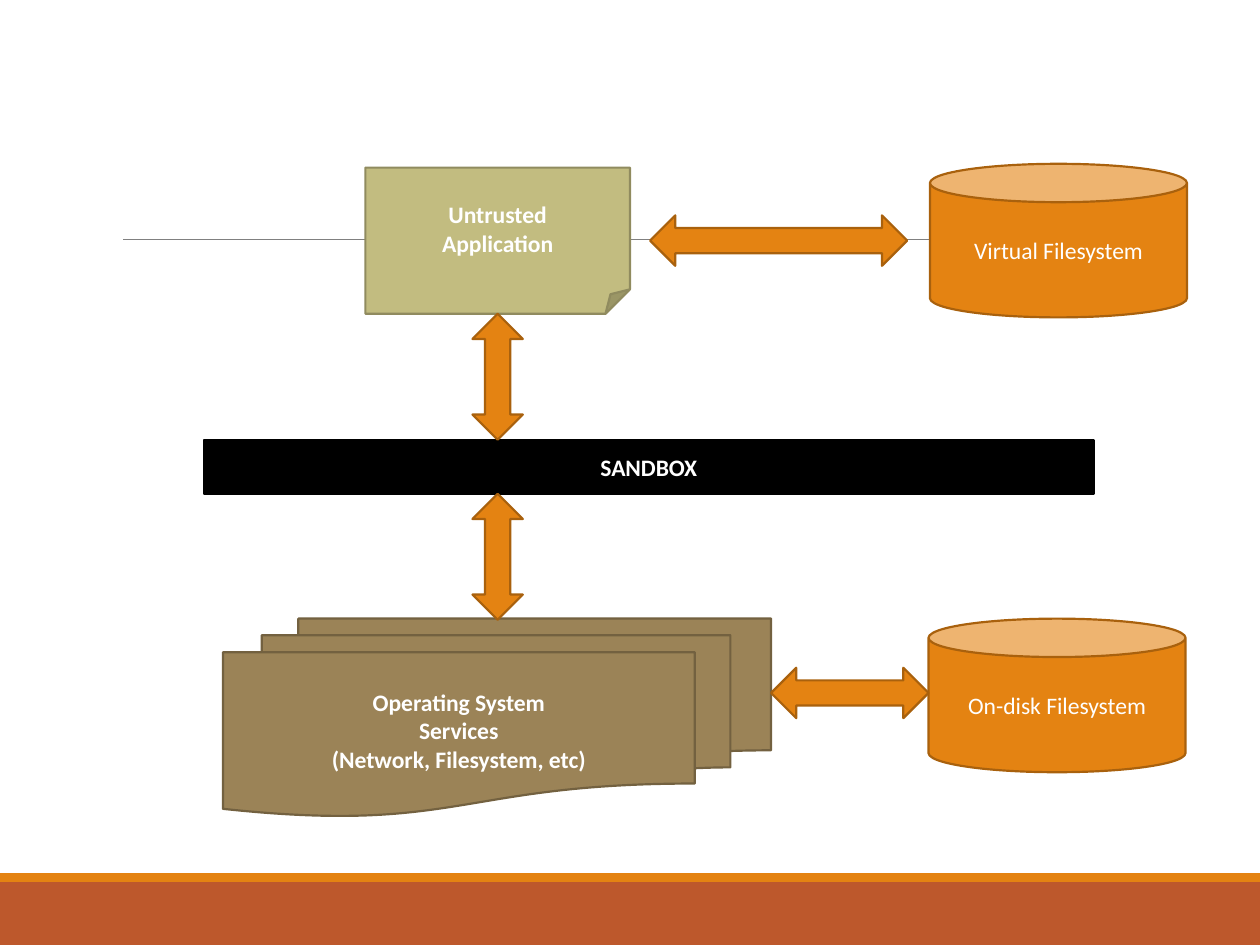
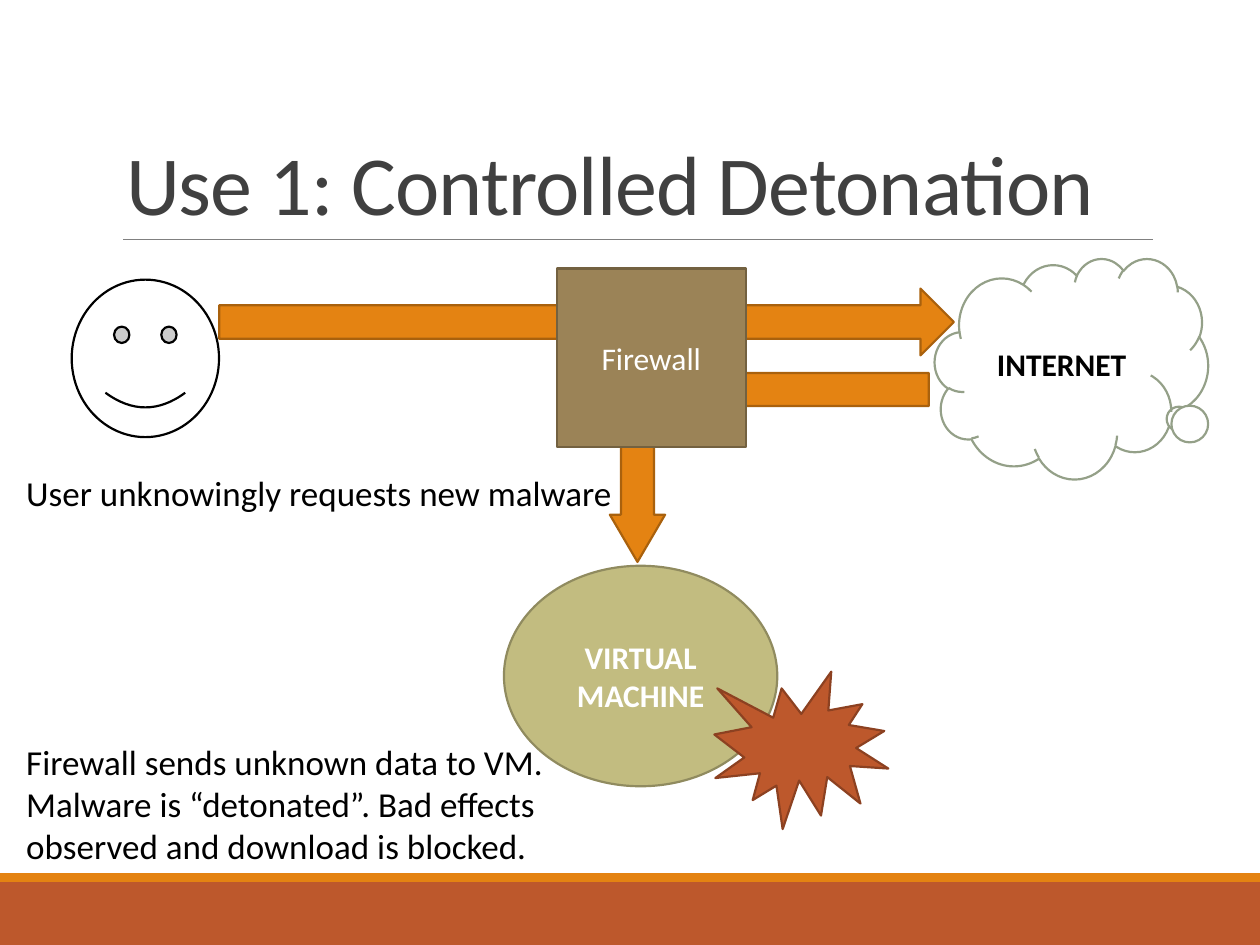
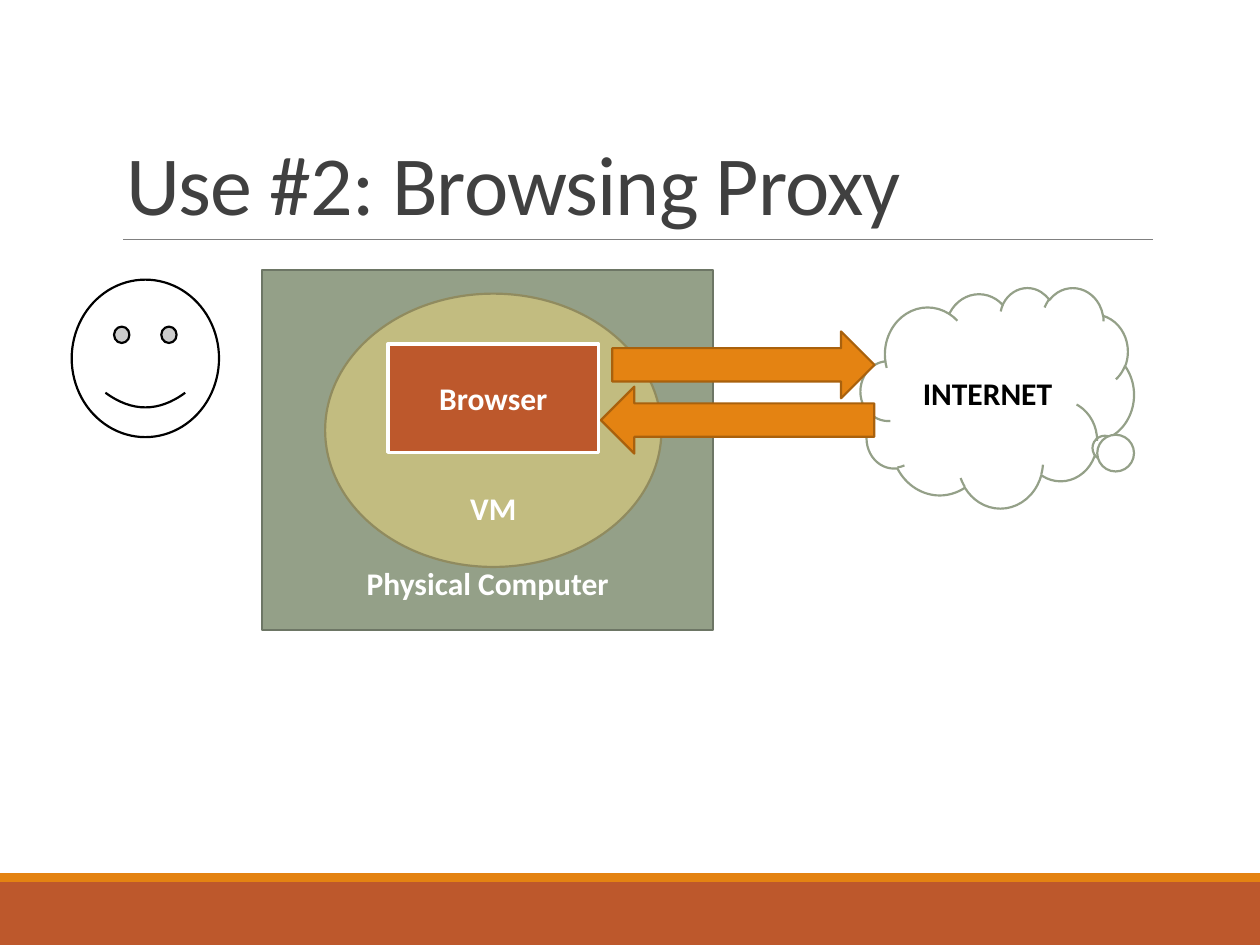
from pptx import Presentation
from pptx.dml.color import RGBColor
from pptx.enum import shapes, text as txt
from pptx.oxml import parse_xml
from pptx.oxml.ns import nsdecls
from pptx.util import Pt

SHAPE = shapes.MSO_SHAPE
ALIGN = txt.PP_ALIGN
ANCHOR = txt.MSO_ANCHOR

FONT = "Calibri"
WHITE, BLACK = "FFFFFF", "000000"
RUST, ORANGE, OLIVE, BROWN, SAGE = "BD582C", "E48312", "C2BC80", "9B8357", "94A088"
TITLE_GREY, RULE_GREY = "404040", "808080"
EDGES = {ORANGE: "A9610D", OLIVE: "908B5F", BROWN: "736140", RUST: "8C4121",
         SAGE: "6D7665", BLACK: BLACK}


def rgb(hex_color):
    return RGBColor.from_string(hex_color)


def write_text(tf, content, size=18, color=WHITE, bold=False, align=ALIGN.LEFT,
               line_spacing=None, tracking=None):
    for i, line in enumerate(content.split("\n")):
        p = tf.paragraphs[0] if i == 0 else tf.add_paragraph()
        p.alignment = align
        if line_spacing:
            p.line_spacing = line_spacing
        r = p.add_run()
        r.text = line
        r.font.name = FONT
        r.font.size = Pt(size)
        r.font.bold = bold
        r.font.color.rgb = rgb(color)
        if tracking:
            r.font._element.set("spc", str(round(tracking * 100)))


def add_box(s, kind, x, y, w, h, fill=ORANGE, edge=None, width=1.25, adj=(),
            label="", anchor=ANCHOR.MIDDLE, bottom=3.6, **fmt):
    sp = s.shapes.add_shape(kind, Pt(x), Pt(y), Pt(w), Pt(h))
    sp.shadow.inherit = False
    sp.fill.solid()
    sp.fill.fore_color.rgb = rgb(fill)
    if width:
        sp.line.color.rgb = rgb(edge or EDGES[fill])
        sp.line.width = Pt(width)
    else:
        sp.line.fill.background()
    for i, value in enumerate(adj):
        sp.adjustments[i] = value
    if label:
        tf = sp.text_frame
        tf.word_wrap = True
        tf.vertical_anchor = anchor
        tf.margin_bottom = Pt(bottom)
        write_text(tf, label, align=ALIGN.CENTER, **fmt)
    return sp


def add_rule(s, x1, x2, y):
    c = s.shapes.add_connector(shapes.MSO_CONNECTOR.STRAIGHT, Pt(x1), Pt(y), Pt(x2), Pt(y))
    c.line.color.rgb = rgb(RULE_GREY)
    c.line.width = Pt(0.5)
    c.element.spPr.append(parse_xml(f"<a:effectLst {nsdecls('a')}/>"))
    return c


def add_note(s, content, x, y, w, h, wrap=True):
    tf = s.shapes.add_textbox(Pt(x), Pt(y), Pt(w), Pt(h)).text_frame
    tf.word_wrap = wrap
    tf.auto_size = txt.MSO_AUTO_SIZE.SHAPE_TO_FIT_TEXT
    write_text(tf, content, size=20, color=BLACK)


def add_title(s, content):
    sp = s.shapes.title
    sp.left, sp.top, sp.width, sp.height = Pt(64.8), Pt(22.3), Pt(594), Pt(114.5)
    tf = sp.text_frame
    tf.word_wrap = True
    tf.auto_size = txt.MSO_AUTO_SIZE.NONE
    tf.vertical_anchor = ANCHOR.BOTTOM
    write_text(tf, content, size=48, color=TITLE_GREY, line_spacing=0.85, tracking=-0.5)


def add_user(s):
    add_box(s, SHAPE.SMILEY_FACE, 41, 159.8, 84.2, 90, WHITE, BLACK)


def add_internet(s, x, y):
    add_box(s, SHAPE.CLOUD_CALLOUT, x, y, 156.2, 126, WHITE, SAGE, adj=(0.394, 0.229),
            label="INTERNET", color=BLACK, bold=True)


def move_frame_to_layout(s, layout):
    frame = [
        add_box(s, SHAPE.RECTANGLE, 0, 504, 720, 36, RUST, width=0),
        add_box(s, SHAPE.RECTANGLE, 0, 499, 720, 5, ORANGE, width=0),
        add_rule(s, 70.4, 658.8, 136.8),
    ]
    for number, sp in enumerate(frame, 101):
        sp.element.xpath(".//p:cNvPr")[0].set("id", str(number))
        layout.shapes.element.append(sp.element)


def build_sandbox(s):
    title = s.shapes.title.element
    title.getparent().remove(title)
    small = dict(size=13.5, bold=True)
    add_box(s, SHAPE.FOLDED_CORNER, 208.8, 95.8, 151.2, 83.5, OLIVE,
            label="Untrusted\nApplication", **small)
    add_box(s, SHAPE.FLOWCHART_MULTIDOCUMENT, 127.4, 353.5, 313.2, 113, BROWN,
            label="Operating System\nServices\n(Network, Filesystem, etc)", **small)
    add_box(s, SHAPE.RECTANGLE, 116.6, 251.3, 508.3, 31, BLACK, label="SANDBOX", **small)
    for y in (179.3, 282.2):
        add_box(s, SHAPE.UP_DOWN_ARROW, 270, y, 28.8, 72)
    for name, x, y in (("Virtual", 531.4, 93.6), ("On-disk", 530.6, 353.5)):
        add_box(s, SHAPE.CAN, x, y, 146.9, 87.8, label=f"{name} Filesystem", size=13.5)
    for x, y, w in ((371.5, 123.1, 146.9), (440.6, 381.6, 90)):
        add_box(s, SHAPE.LEFT_RIGHT_ARROW, x, y, w, 28.8)


def build_detonation(s):
    add_title(s, "Use 1: Controlled Detonation")
    download = add_box(s, SHAPE.BENT_UP_ARROW, 348.5, 213.1, 182.2, 108,
                       adj=(0.175, 0.146, 0.25))
    download.rotation = 180
    add_internet(s, 534.2, 147.6)
    add_user(s)
    add_box(s, SHAPE.RIGHT_ARROW, 125.3, 164.9, 419.8, 38.2)
    add_box(s, SHAPE.RECTANGLE, 318.2, 153.4, 108, 102.2, BROWN, label="Firewall")
    add_note(s, "User unknowingly requests new malware", 7.9, 265.7, 352, 31.7, wrap=False)
    add_box(s, SHAPE.OVAL, 288, 323.3, 156.2, 126, OLIVE, label="VIRTUAL MACHINE", bold=True)
    add_box(s, SHAPE.EXPLOSION1, 408.2, 383.8, 99.4, 90, RUST)
    add_note(s, "Firewall sends unknown data to VM. Malware is “detonated”. "
                "Bad effects observed and download is blocked.", 7.9, 419.8, 317.5, 79.9)


def build_proxy(s):
    add_title(s, "Use #2: Browsing Proxy")
    add_user(s)
    add_box(s, SHAPE.RECTANGLE, 149.8, 154.1, 257.8, 205.9, SAGE, label="Physical Computer",
            anchor=ANCHOR.BOTTOM, bottom=16, bold=True)
    add_box(s, SHAPE.OVAL, 185.8, 167.8, 192.2, 156.2, OLIVE, label="VM",
            anchor=ANCHOR.BOTTOM, bottom=0, bold=True)
    add_box(s, SHAPE.RECTANGLE, 221.8, 196.6, 120.2, 61.9, RUST, WHITE, 2,
            label="Browser", bold=True)
    add_internet(s, 491.8, 164.2)
    add_box(s, SHAPE.RIGHT_ARROW, 349.9, 189.4, 149.8, 38.2)
    add_box(s, SHAPE.LEFT_ARROW, 343.4, 221, 156.2, 38.2)


def main():
    prs = Presentation()
    prs.slide_width, prs.slide_height = Pt(720), Pt(540)
    layout = prs.slide_layouts[5]
    for i, build in enumerate((build_sandbox, build_detonation, build_proxy)):
        s = prs.slides.add_slide(layout)
        if i == 0:
            move_frame_to_layout(s, layout)
        build(s)
    prs.save("out.pptx")


if __name__ == "__main__":
    main()
